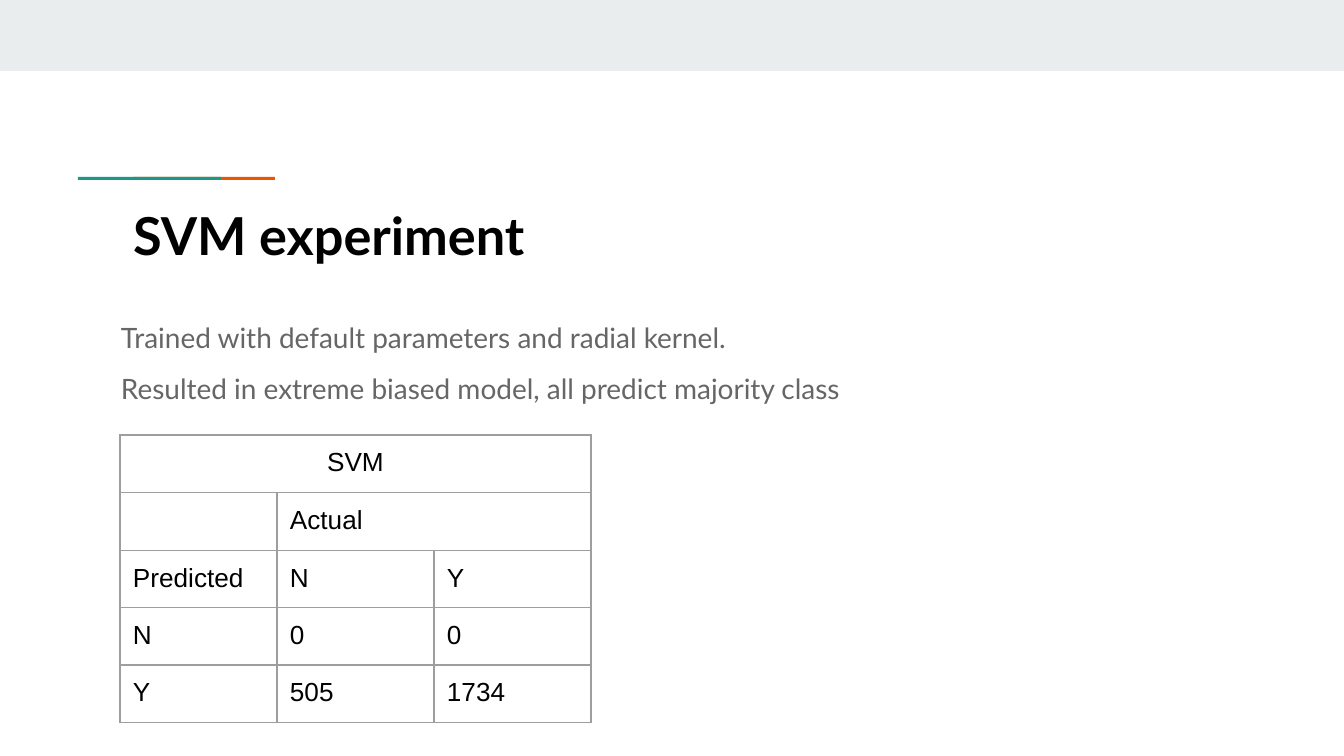
from lxml import etree
from pptx import Presentation
from pptx.dml.color import RGBColor
from pptx.enum.shapes import MSO_SHAPE
from pptx.enum.text import MSO_ANCHOR, PP_ALIGN
from pptx.oxml.ns import qn
from pptx.util import Pt

EMU_PER_PX = 914400 / 134.4
INSET = 13


def px(length):
    return round(length * EMU_PER_PX)


def color(hex_string):
    return RGBColor.from_string(hex_string)


class SlideBuilder:
    HEADING_FONT = "Lato"
    TABLE_FONT = "Arial"
    BLACK, GRAY, BORDER = "000000", "666666", "9E9E9E"
    BAND, TEAL, ORANGE = "E9EDEE", "1A9988", "EB5600"

    def __init__(self, slide):
        self.slide = slide

    def bar(self, left, top, width, height, fill):
        shape = self.slide.shapes.add_shape(
            MSO_SHAPE.RECTANGLE, px(left), px(top), px(width), px(height))
        shape.shadow.inherit = False
        shape.fill.solid()
        shape.fill.fore_color.rgb = color(fill)
        shape.line.fill.background()

    def styled_run(self, paragraph, text, font, size, hex_color, bold=False):
        run = paragraph.add_run()
        run.text = text
        run.font.name = font
        run.font.size = Pt(size)
        run.font.bold = bold
        run.font.color.rgb = color(hex_color)

    def text(self, box, lines, size, hex_color, bold=False, spacing=1.0, gap=0):
        frame = self.slide.shapes.add_textbox(*map(px, box)).text_frame
        frame.word_wrap = True
        frame.margin_left = frame.margin_right = px(INSET)
        frame.margin_top = frame.margin_bottom = px(INSET)
        for i, line in enumerate(lines):
            paragraph = frame.add_paragraph() if i else frame.paragraphs[0]
            paragraph.line_spacing = spacing
            paragraph.space_before = Pt(gap if i else 0)
            self.styled_run(paragraph, line, self.HEADING_FONT, size, hex_color, bold)

    def border(self, cell):
        properties = cell._tc.get_or_add_tcPr()
        for i, side in enumerate(("a:lnL", "a:lnR", "a:lnT", "a:lnB")):
            line = etree.Element(qn(side), w=str(Pt(0.75)))
            fill = etree.SubElement(line, qn("a:solidFill"))
            etree.SubElement(fill, qn("a:srgbClr"), val=self.BORDER)
            properties.insert(i, line)

    def table(self, left, top, column_width, row_heights, rows, merges, size):
        columns = len(rows[0])
        table = self.slide.shapes.add_table(
            len(rows), columns, px(left), px(top),
            px(column_width * columns), px(sum(row_heights))).table
        table.first_row = table.horz_banding = False
        for column in table.columns:
            column.width = px(column_width)
        for r, values in enumerate(rows):
            table.rows[r].height = px(row_heights[r])
            for c, value in enumerate(values):
                cell = table.cell(r, c)
                cell.margin_left = cell.margin_right = px(INSET)
                cell.margin_top = cell.margin_bottom = px(INSET)
                cell.vertical_anchor = MSO_ANCHOR.TOP
                cell.fill.background()
                self.border(cell)
                paragraph = cell.text_frame.paragraphs[0]
                if value:
                    self.styled_run(paragraph, value, self.TABLE_FONT, size, self.BLACK)
                else:
                    etree.SubElement(paragraph._p, qn("a:endParaRPr"), sz=str(size * 100))
        for row, first, last in merges:
            table.cell(row, first).merge(table.cell(row, last))
        return table


presentation = Presentation()
presentation.slide_width, presentation.slide_height = px(1344), px(756)
page = SlideBuilder(presentation.slides.add_slide(presentation.slide_layouts[6]))

# Top band and accent line
page.bar(0, 0, 1344, 71, page.BAND)
page.bar(133, 177, 142, 3, page.ORANGE)
page.bar(78, 177, 143, 3, page.TEAL)

# Findings and title
page.text((108, 305, 1130, 332),
          ["Trained with default parameters and radial kernel. ",
           "Resulted in extreme biased model, all predict majority class"],
          15, page.GRAY, spacing=1.08, gap=8)
page.text((120, 190, 980, 103), ["SVM experiment"], 28, page.BLACK, bold=True)

# Confusion matrix
matrix = page.table(
    120, 435, 157, [56, 58, 56, 57, 56],
    [["SVM", "", ""],
     ["", "Actual", ""],
     ["Predicted", "N", "Y"],
     ["N", "0", "0"],
     ["Y", "505", "1734"]],
    merges=[(0, 0, 2), (1, 1, 2)], size=14)
matrix.cell(0, 0).text_frame.paragraphs[0].alignment = PP_ALIGN.CENTER

presentation.save("out.pptx")
